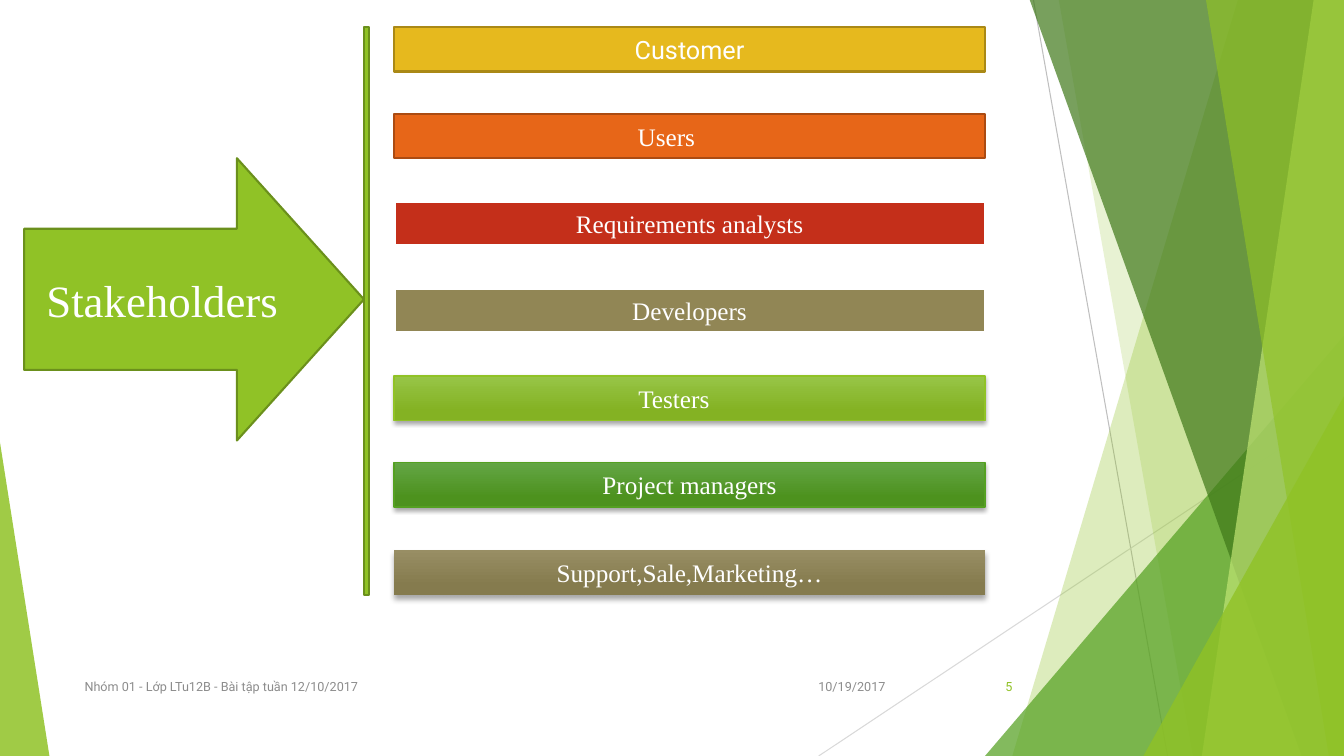
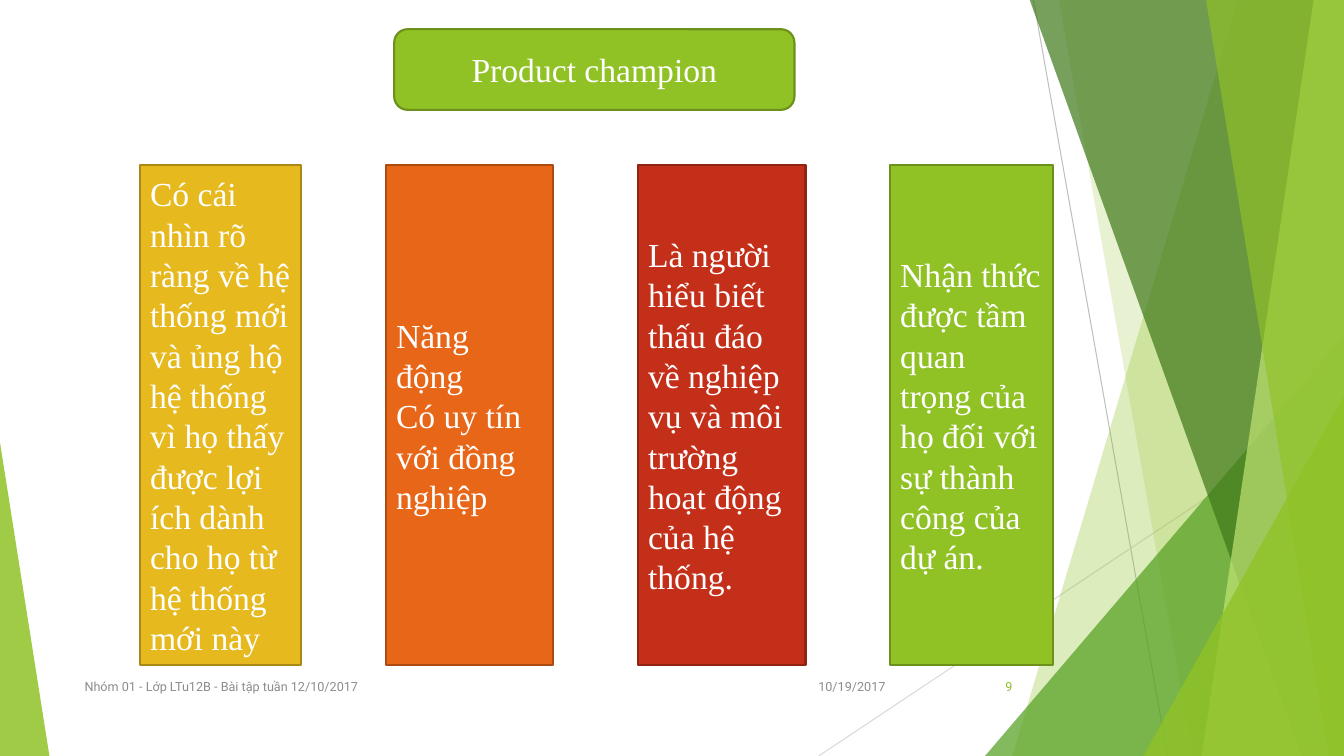
from lxml import etree
from pptx import Presentation
from pptx import util as u
from pptx.dml.color import RGBColor
from pptx.enum import shapes, text
from pptx.oxml.ns import qn

PX = 9144  # EMU in one px, a hundredth of an inch
WIDTH, HEIGHT = 1333, 750

WHITE = RGBColor(0xFF, 0xFF, 0xFF)
BLACK = RGBColor(0x00, 0x00, 0x00)
GREY = RGBColor(0x8C, 0x8C, 0x8C)
SILVER = RGBColor(0xBF, 0xBF, 0xBF)
PALE_GREY = RGBColor(0xD9, 0xD9, 0xD9)
LIME = RGBColor(0x90, 0xC2, 0x26)
LIME_EDGE = RGBColor(0x6B, 0x90, 0x1C)
LIME_LIGHT = RGBColor(0x97, 0xC5, 0x47)
LIME_DEEP = RGBColor(0x84, 0xB2, 0x23)
LIME_PALE = RGBColor(0xC0, 0xE4, 0x74)
GREEN = RGBColor(0x54, 0xA0, 0x21)
GREEN_LIGHT = RGBColor(0x63, 0xA5, 0x45)
GREEN_DEEP = RGBColor(0x4D, 0x92, 0x1E)
FOREST = RGBColor(0x3F, 0x78, 0x19)
GOLD = RGBColor(0xE6, 0xB9, 0x1E)
GOLD_EDGE = RGBColor(0xAA, 0x89, 0x16)
ORANGE = RGBColor(0xE7, 0x66, 0x18)
ORANGE_EDGE = RGBColor(0xAB, 0x4B, 0x12)
RED = RGBColor(0xC4, 0x2F, 0x1A)
RED_EDGE = RGBColor(0x91, 0x23, 0x13)
KHAKI = RGBColor(0x91, 0x86, 0x55)
KHAKI_LIGHT = RGBColor(0x98, 0x8E, 0x64)
KHAKI_DEEP = RGBColor(0x85, 0x7B, 0x4E)

SERIF, SANS = "Times New Roman", "Roboto"
LEFT, CENTER, RIGHT = text.PP_ALIGN.LEFT, text.PP_ALIGN.CENTER, text.PP_ALIGN.RIGHT
SHAPE = shapes.MSO_SHAPE


def write(shape, lines, size, font=SERIF, color=WHITE, align=CENTER):
    frame = shape.text_frame
    frame.word_wrap = True
    frame.vertical_anchor = text.MSO_ANCHOR.MIDDLE
    for index, line in enumerate(lines):
        para = frame.add_paragraph() if index else frame.paragraphs[0]
        para.alignment = align
        span = para.add_run()
        span.text = line
        span.font.name = font
        span.font.size = u.Pt(size)
        span.font.color.rgb = color


def add_box(page, kind, area, fills, edge=None, edge_width=1.5):
    """Add a shape filled with one colour, or with a gradient of two."""
    box = page.shapes.add_shape(kind, *(n * PX for n in area))
    box.shadow.inherit = False
    if len(fills) == 1:
        box.fill.solid()
        box.fill.fore_color.rgb = fills[0]
    else:
        box.fill.gradient()
        box.fill.gradient_angle = 270
        for stop, color, position in zip(box.fill.gradient_stops, fills, (0, 0.78)):
            stop.color.rgb = color
            stop.position = position
    if edge is None:
        box.line.fill.background()
    else:
        box.line.color.rgb = edge
        box.line.width = u.Pt(edge_width)
    return box


deck = Presentation()
deck.slide_width, deck.slide_height = WIDTH * PX, HEIGHT * PX
layout = deck.slide_layouts[6]
for holder in list(layout.placeholders):
    layout.shapes.element.remove(holder.element)

# Facets shared by every slide: drawn on the first page, then moved to the layout
stakeholders = deck.slides.add_slide(layout)
for start, end, color in [((1025, 0), (1158, 750), SILVER), ((1333, 403), (812, 750), PALE_GREY)]:
    ray = stakeholders.shapes.add_connector(
        shapes.MSO_CONNECTOR.STRAIGHT, *(n * PX for n in start + end))
    ray.line.color.rgb = color
    ray.line.width = u.Pt(0.75)
    etree.SubElement(ray.element.spPr, qn("a:effectLst"))

# Two numbers: top and bottom x of a band reaching the right edge
# Five numbers: left, top, width, height and apex of a triangle
facets = [
    ((1228, 1004), LIME, 30),
    ((1050, 1183), LIME, 20),
    ((977, 333, 356, 417, 1), GREEN, 72),
    ((1021, 1291), FOREST, 70),
    ((1303, 1192), LIME_PALE, 70),
    ((1196, 1318), LIME, 65),
    ((1134, 393, 199, 357, 1), LIME, 80),
    ((0, 439, 49, 311, 0), LIME, 85),
]
for geometry, color, opacity in facets:
    if len(geometry) == 2:
        top_x, bottom_x = geometry
        outline = stakeholders.shapes.build_freeform(top_x, -1, scale=PX)
        outline.add_line_segments([(WIDTH, -1), (WIDTH, HEIGHT), (bottom_x, HEIGHT)])
        facet = outline.convert_to_shape()
        facet.shadow.inherit = False
        facet.fill.solid()
        facet.fill.fore_color.rgb = color
        facet.line.fill.background()
    else:
        facet = add_box(stakeholders, SHAPE.ISOSCELES_TRIANGLE, geometry[:4], [color])
        facet.adjustments[0] = geometry[4]
    tint = facet.element.spPr.find(qn("a:solidFill")).find(qn("a:srgbClr"))
    etree.SubElement(tint, qn("a:alpha"), val=str(opacity * 1000))
for shape in list(stakeholders.shapes):
    layout.shapes.element.append(shape.element)

champion = deck.slides.add_slide(layout)
for page, number in [(stakeholders, "5"), (champion, "9")]:
    footers = [
        (788, 100, "10/19/2017", GREY, RIGHT),
        (74, 689, "Nhóm 01 - Lớp LTu12B - Bài tập tuần 12/10/2017", GREY, LEFT),
        (939, 75, number, LIME, RIGHT),
    ]
    for left, width, words, color, align in footers:
        footer = page.shapes.add_textbox(left * PX, 661 * PX, width * PX, 40 * PX)
        write(footer, [words], 9, SANS, color, align)

# Stakeholders
arrow = add_box(stakeholders, SHAPE.RIGHT_ARROW, (24, 157, 337, 280), [LIME], LIME_EDGE)
arrow.adjustments[1] = 0.45
write(arrow, ["Stakeholders"], 32)
add_box(stakeholders, SHAPE.RECTANGLE, (361, 27, 5, 563), [LIME], LIME_EDGE)

# Label, font, fills, edge, edge width, shadow blur and distance, extra right inset
bars = [
    ("Customer", SANS, [GOLD], GOLD_EDGE, 1.5, None, 0),
    ("Users", SERIF, [ORANGE], ORANGE_EDGE, 1.5, None, 46),
    ("Requirements analysts", SERIF, [RED], WHITE, 2, None, 0),
    ("Developers", SERIF, [KHAKI], WHITE, 2, None, 0),
    ("Testers", SERIF, [LIME_LIGHT, LIME_DEEP], LIME, 1, (3, 2), 31),
    ("Project managers", SERIF, [GREEN_LIGHT, GREEN_DEEP], GREEN, 1, (3, 2), 0),
    ("Support,Sale,Marketing…", SERIF, [KHAKI_LIGHT, KHAKI_DEEP], None, 0, (4, 3), 0),
]
for row, (label, font, fills, edge, edge_width, shadow, inset) in enumerate(bars):
    top = 27 + row * 519 // 6
    bar = add_box(stakeholders, SHAPE.RECTANGLE, (391, top, 586, 44), fills, edge, edge_width)
    write(bar, [label], 18, font)
    bar.text_frame.margin_right = (10 + inset) * PX
    if shadow:
        blur, distance = (str(u.Pt(n)) for n in shadow)
        cast = etree.SubElement(
            bar.element.spPr.find(qn("a:effectLst")), qn("a:outerShdw"),
            blurRad=blur, dist=distance, dir="5400000", rotWithShape="0")
        shade = etree.SubElement(cast, qn("a:srgbClr"), val=str(BLACK))
        etree.SubElement(shade, qn("a:alpha"), val="35000")

# Product champion
heading = add_box(champion, SHAPE.ROUNDED_RECTANGLE, (391, 29, 397, 80), [LIME], LIME_EDGE)
write(heading, ["Product champion"], 24)
columns = [
    (160, GOLD, GOLD_EDGE, ["Có cái nhìn rõ ràng về hệ thống mới và ủng hộ hệ thống vì họ thấy "
                            "được lợi ích dành cho họ từ hệ thống mới này"]),
    (166, ORANGE, ORANGE_EDGE, ["Năng động", "Có uy tín với đồng nghiệp"]),
    (166, RED, RED_EDGE, ["Là người hiểu biết thấu đáo về nghiệp vụ và môi trường hoạt động "
                          "của hệ thống."]),
    (161, LIME, LIME_EDGE, ["Nhận thức được tầm quan trọng của họ đối với sự thành công "
                            "của dự án."]),
]
left = 139
for width, color, edge, lines in columns:
    column = add_box(champion, SHAPE.RECTANGLE, (left, 164, width, 496), [color], edge)
    write(column, lines, 24, align=LEFT)
    left += width + 84

deck.save("out.pptx")
